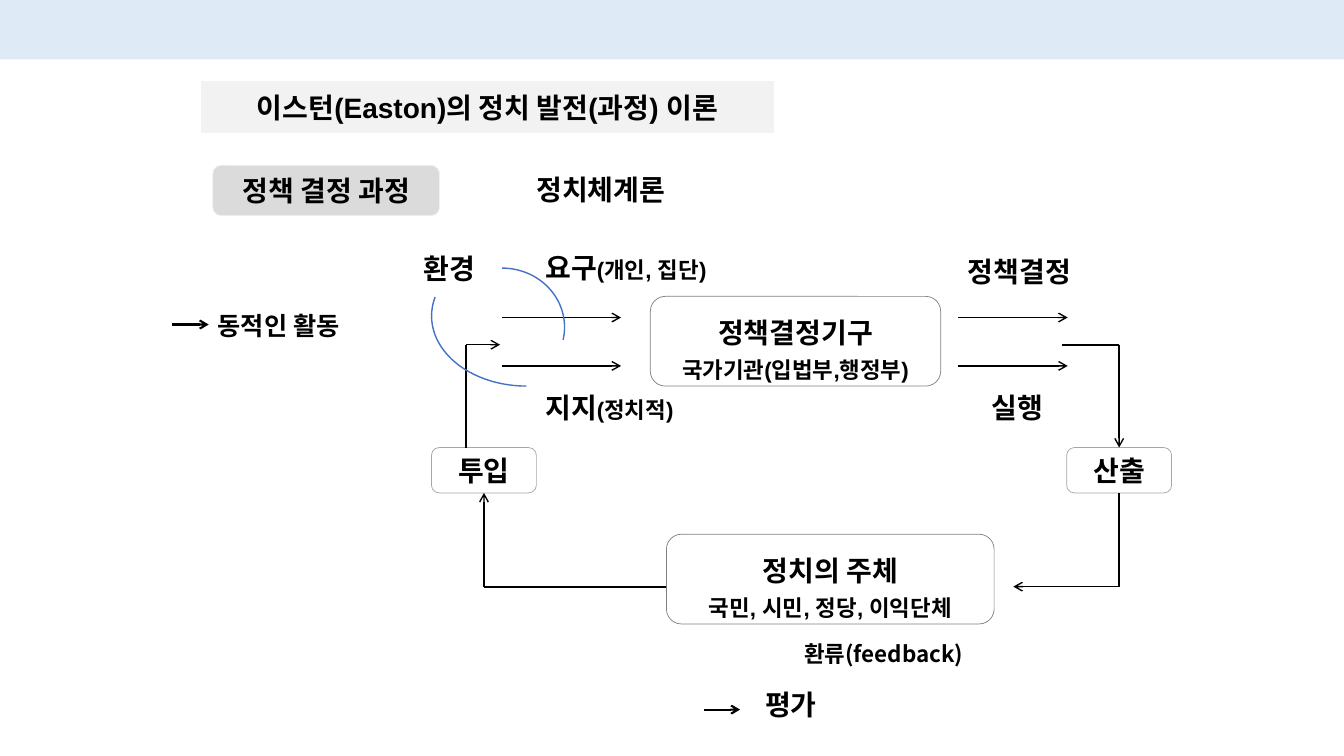
from lxml.etree import SubElement
from pptx import Presentation
from pptx.dml.color import RGBColor
from pptx.enum.shapes import MSO_CONNECTOR, MSO_SHAPE
from pptx.enum.text import MSO_ANCHOR, PP_ALIGN
from pptx.oxml.ns import qn
from pptx.util import Inches, Pt

COLORS = {
    "ink": "000000", "paper": "FFFFFF", "band": "DEEBF7", "heading": "F2F2F2",
    "topic": "DBDBDB", "stage": "A6A6A6", "body": "808080", "arc": "4472C4",
}
ARIAL, NOTO = "Arial", "Noto Sans CJK KR"
COLUMNS, ROWS = 133.3, 75
CELL = Inches(0.1)
TOP, BOTTOM = 0, 2


def color(name):
    """Return the named colour."""
    return RGBColor.from_string(COLORS[name])


def cells(*counts):
    """Turn counts of grid cells into lengths."""
    return [round(CELL * count) for count in counts]


def apply(target, values):
    """Set each attribute of the target from a dict."""
    for name, value in values.items():
        setattr(target, name, value)


def write(shape, lines, align=PP_ALIGN.CENTER, left=0, top=0):
    """Fill a shape with lines, each a list of (text, size, font) spans."""
    frame = shape.text_frame
    margins = dict(zip(("margin_left", "margin_top", "margin_right", "margin_bottom"),
                       cells(left, top, 0, 0)))
    apply(frame, {"word_wrap": True, "vertical_anchor": MSO_ANCHOR.MIDDLE, **margins})
    for number, line in enumerate(lines):
        para = frame.add_paragraph() if number else frame.paragraphs[0]
        apply(para, {"alignment": align, "line_spacing": 1.0,
                     "space_before": Pt(5 if number else 0)})
        for text, size, font in line:
            span = para.add_run()
            span.text = text
            apply(span.font, {"size": Pt(size), "bold": True, "name": font})
            span.font.color.rgb = color("ink")
            SubElement(span.font._element, qn("a:ea"), typeface=NOTO)


def paint(shape, fill, line):
    """Give a shape its fill and thin outline."""
    shape.fill.solid()
    shape.fill.fore_color.rgb = color(fill)
    shape.line.color.rgb = color(line)
    shape.line.width = Pt(0.5)


def add_heading(page, area, text):
    """Turn the title placeholder into the rounded heading."""
    title = page.shapes.title
    apply(title, dict(zip(("left", "top", "width", "height"), cells(*area))))
    geometry = SubElement(title._element.spPr, qn("a:prstGeom"), prst="roundRect")
    SubElement(geometry, qn("a:avLst"))
    paint(title, "heading", "heading")
    write(title, [[(text, 20, ARIAL)]])


def add_box(page, area, lines, fill="paper", line="paper", top=0):
    """Add a rounded box with centred text."""
    box = page.shapes.add_shape(MSO_SHAPE.ROUNDED_RECTANGLE, *cells(*area))
    box.shadow.inherit = False
    paint(box, fill, line)
    write(box, lines, top=top)
    return box


def add_label(page, area, spans, left=1):
    """Add a left-aligned text label."""
    box = page.shapes.add_textbox(*cells(*area))
    write(box, [spans], PP_ALIGN.LEFT, left)


def add_line(page, start, end, width=1, arrow=True, begin_at=None, end_at=None):
    """Add a straight line, optionally arrowed and joined to boxes."""
    line = page.shapes.add_connector(MSO_CONNECTOR.STRAIGHT, *cells(*start, *end))
    if begin_at:
        line.begin_connect(*begin_at)
    if end_at:
        line.end_connect(*end_at)
    line.line.color.rgb = color("ink")
    line.line.width = Pt(width)
    if arrow:
        SubElement(line.line._get_or_add_ln(), qn("a:tailEnd"), type="arrow")
    SubElement(line._element.spPr, qn("a:effectLst"))


def add_arc(page, area, rotation=0):
    """Add an open arc of the environment."""
    arc = page.shapes.add_shape(MSO_SHAPE.ARC, *cells(*area))
    apply(arc, {"rotation": rotation})
    arc.shadow.inherit = False
    arc.adjustments[0], arc.adjustments[1] = 162, 7.05
    arc.fill.background()
    arc.line.color.rgb = color("arc")
    arc.line.width = Pt(1)


def add_labels(page):
    """Add the free-standing labels."""
    add_label(page, (48.7, 16.5, 21.1, 4.5), [("정치체계론", 20, ARIAL)], 4.5)
    add_label(page, (17.1, 30.3, 20.9, 3.9), [("동적인 활동", 18, ARIAL)], 4.5)
    add_label(page, (91.5, 24.7, 21.9, 4.5), [("정책결정", 20, ARIAL)], 4.5)
    add_label(page, (53.1, 24.4, 21.1, 4.2), [("요구", 20, NOTO), ("(개인, 집단)", 16, ARIAL)])
    add_label(page, (53.1, 38.3, 17.3, 4.2), [("지지", 20, NOTO), ("(정치적)", 16, ARIAL)])
    add_label(page, (97.4, 38.3, 7.9, 4.2), [("실행", 20, NOTO)])
    add_label(page, (78.8, 63, 20.7, 3.7), [("환류(feedback)", 16, NOTO)])
    add_label(page, (74.9, 67.8, 7.9, 4.2), [("평가", 20, NOTO)])


def add_flow(page, intake, output):
    """Add the lines of the policy cycle."""
    for x, y in ((17.1, 32.2), (69.8, 70.4)):
        add_line(page, (x, y), (x + 3.6, y), 1.5)
    for y in (31.5, 36.3):
        for left, right in ((49.8, 61.6), (95, 105.9)):
            add_line(page, (left, y), (right, y))
    add_line(page, (66.1, 58.2), (48, 58.2), 1.5, False)
    add_line(page, (48, 58.2), (48, 48.9), end_at=(intake, BOTTOM))
    add_line(page, (46.2, 44.4), (46.2, 34.2), 1.5, False)
    add_line(page, (46.2, 34.2), (49.6, 34.2))
    add_line(page, (105.3, 34.2), (111, 34.2), 1.5, False)
    add_line(page, (111, 34.2), (111, 44.4), end_at=(output, TOP))
    add_line(page, (111, 48.9), (111, 58.2), 1.5, False, begin_at=(output, BOTTOM))
    add_line(page, (111, 58.2), (100.5, 58.2))


def main():
    """Build the slide and save it."""
    deck = Presentation()
    apply(deck, dict(zip(("slide_width", "slide_height"), cells(COLUMNS, ROWS))))
    page = deck.slides.add_slide(deck.slide_layouts[5])
    add_heading(page, (20, 8.1, 56.7, 5), "이스턴(Easton)의 정치 발전(과정) 이론")
    add_box(page, (21.1, 16.4, 22.5, 5), [[("정책 결정 과정", 20, ARIAL)]], "topic", "heading")
    add_box(page, (39.4, 24.4, 10.3, 4.5), [[("환경", 20, NOTO)]])
    bodies = (
        ((64.5, 29.4, 28.8, 8.9), "정책결정기구", "국가기관(입법부,행정부)"),
        ((66.1, 53, 32.5, 8.9), "정치의 주체", "국민, 시민, 정당, 이익단체"),
    )
    for area, name, members in bodies:
        add_box(page, area, [[(name, 20, ARIAL)], [(members, 16, ARIAL)]], line="body", top=1.6)
    intake, output = (
        add_box(page, (left, 44.4, 10.4, 4.5), [[(name, 20, NOTO)]], line="stage")
        for left, name in ((42.8, "투입"), (105.8, "산출"))
    )
    add_labels(page)
    add_flow(page, intake, output)
    add_arc(page, (43.6, 26.6, 12.4, 11.7))
    add_arc(page, (42.8, 24.4, 18.8, 13.9), 180)
    band = page.shapes.add_shape(MSO_SHAPE.RECTANGLE, *cells(0, 0, COLUMNS, 5.9))
    band.shadow.inherit = False
    paint(band, "band", "band")
    band.line.fill.background()
    deck.save("out.pptx")


if __name__ == "__main__":
    main()
